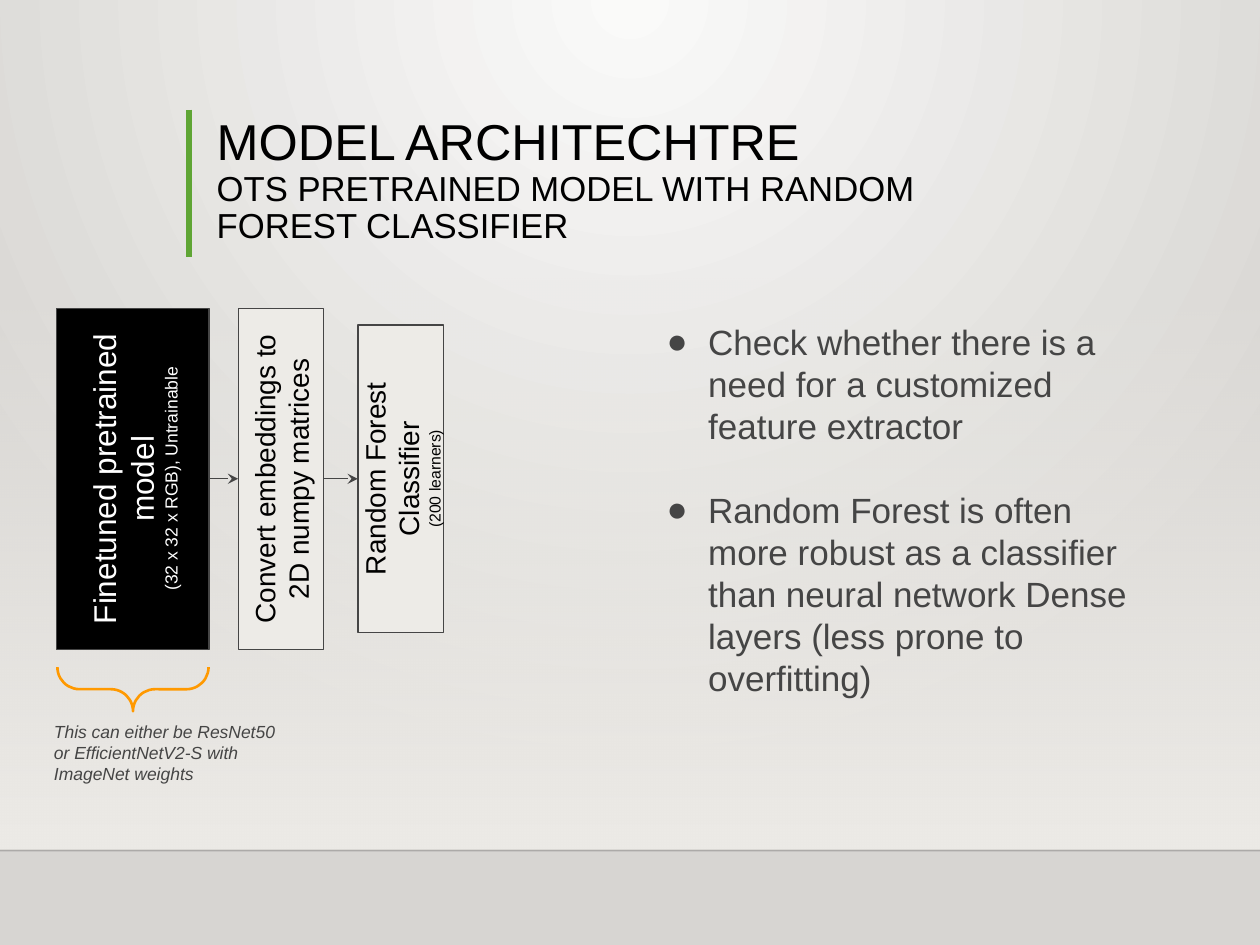
import pptx
import pptx.dml.color
import pptx.enum.dml
import pptx.enum.shapes
import pptx.enum.text
import pptx.oxml
import pptx.oxml.ns
import pptx.util
from dataclasses import dataclass
from pptx.util import Inches


@dataclass(frozen=True)
class Theme:
    font: str = "Arial"
    black: str = "000000"
    white: str = "FFFFFF"
    grey: str = "454545"
    panel: str = "EDEBE7"
    glow: str = "FAFAF9"
    edge: str = "D7D5D2"
    green: str = "5FA534"
    orange: str = "FF9900"
    title: float = 28.8
    subtitle: float = 19.8
    body: float = 20
    caption: float = 10


theme = Theme()
rgb = pptx.dml.color.RGBColor.from_string
SHAPE = pptx.enum.shapes.MSO_SHAPE
ALIGN = pptx.enum.text.PP_ALIGN
ANCHOR = pptx.enum.text.MSO_ANCHOR
NS = pptx.oxml.ns.nsdecls("a")


def add_run(paragraph, text, size, color, italic=None):
    run = paragraph.add_run()
    run.text = text
    format_values = {"name": theme.font, "size": pptx.util.Pt(size), "italic": italic}
    for attribute, value in format_values.items():
        setattr(run.font, attribute, value)
    run.font.color.rgb = rgb(color)


def add_line(x1, y1, x2, y2, color, width):
    line = slide.shapes.add_connector(
        pptx.enum.shapes.MSO_CONNECTOR.STRAIGHT,
        Inches(x1), Inches(y1), Inches(x2), Inches(y2))
    line.line.color.rgb = rgb(color)
    line.line.width = pptx.util.Pt(width)
    line._element.spPr.append(pptx.oxml.parse_xml(f"<a:effectLst {NS}/>"))
    return line


deck = pptx.Presentation()
deck.slide_width, deck.slide_height = Inches(10), Inches(7.5)
slide = deck.slides.add_slide(deck.slide_layouts[1])
for placeholder in list(slide.placeholders):
    if placeholder.placeholder_format.idx > 1:
        placeholder._element.getparent().remove(placeholder._element)

# Background: a round glow from the top centre
backdrop = slide.background.fill
backdrop.gradient()
for stop, color in zip(backdrop.gradient_stops, (theme.glow, theme.edge)):
    stop.color.rgb = rgb(color)
glow = slide._element.cSld.find(".//" + pptx.oxml.ns.qn("a:gradFill"))
glow.replace(glow.find(pptx.oxml.ns.qn("a:lin")), pptx.oxml.parse_xml(
    f'<a:path {NS} path="circle">'
    '<a:fillToRect l="43000" t="0" r="43000" b="100000"/></a:path>'))
for stop, position in zip(backdrop.gradient_stops, (0, 1)):
    stop.position = position

# Panel that fades in downwards, footer rule and title bar
panel = slide.shapes.add_shape(
    SHAPE.RECTANGLE, Inches(0), Inches(2.2), Inches(10), Inches(4.54))
panel.shadow.inherit = False
panel.line.fill.background()
panel.fill.gradient()
panel.fill.gradient_angle = 270
for stop, position in zip(panel.fill.gradient_stops, (0, 1)):
    stop.color.rgb = rgb(theme.panel)
    stop.position = position
clear_color = panel._element.spPr.find(".//" + pptx.oxml.ns.qn("a:srgbClr"))
clear_color.append(pptx.oxml.parse_xml(f'<a:alpha {NS} val="0"/>'))

footer_rule = add_line(0, 6.75, 10, 6.75, theme.black, 1)
rule_color = footer_rule._element.spPr.find(".//" + pptx.oxml.ns.qn("a:srgbClr"))
rule_color.append(pptx.oxml.parse_xml(f'<a:alpha {NS} val="20000"/>'))
title_bar = add_line(1.5, 0.87, 1.5, 2.04, theme.green, 3)
for depth, decoration in enumerate((panel, footer_rule, title_bar), start=2):
    slide.shapes._spTree.insert(depth, decoration._element)

# Title, points and caption
title = slide.shapes.title
points = slide.placeholders[1]
caption = slide.shapes.add_textbox(0, 0, 0, 0)
text_areas = (
    (title, (1.62, 0.82, 6.8, 1.24), ANCHOR.MIDDLE),
    (points, (5.02, 2.44, 4.27, 3), ANCHOR.TOP),
    (caption, (0.33, 5.62, 2.09, 0.55), ANCHOR.TOP),
)
for area, place, anchor in text_areas:
    for attribute, value in zip(("left", "top", "width", "height"), place):
        setattr(area, attribute, Inches(value))
    frame_values = {
        "word_wrap": True, "auto_size": pptx.enum.text.MSO_AUTO_SIZE.NONE,
        "vertical_anchor": anchor, "margin_left": Inches(0.1),
        "margin_right": Inches(0.1), "margin_top": Inches(0.1),
        "margin_bottom": Inches(0.1)}
    for attribute, value in frame_values.items():
        setattr(area.text_frame, attribute, value)

heading = title.text_frame.paragraphs[0]
heading.alignment = ALIGN.LEFT
heading.line_spacing = 0.9
add_run(heading, "MODEL ARCHITECHTRE ", theme.title, theme.black)
heading.add_line_break()
add_run(heading, "OTS PRETRAINED MODEL WITH RANDOM FOREST CLASSIFIER",
        theme.subtitle, theme.black)

add_run(caption.text_frame.paragraphs[0],
        "This can either be ResNet50 or EfficientNetV2-S with ImageNet weights",
        theme.caption, theme.grey, italic=True)

reasons = (
    "Check whether there is a need for a customized feature extractor",
    "Random Forest is often more robust as a classifier than neural network "
    "Dense layers (less prone to overfitting)",
)
for index, reason in enumerate(reasons):
    frame = points.text_frame
    point = frame.add_paragraph() if index else frame.paragraphs[0]
    point.space_before = pptx.util.Pt(24 * index)
    add_run(point, reason, theme.body, theme.grey)
    properties = point._p.get_or_add_pPr()
    properties.set("marL", str(Inches(0.5)))
    properties.set("indent", str(Inches(-0.33)))
    for bullet in (f'<a:buClr {NS}><a:srgbClr val="{theme.grey}"/></a:buClr>',
                   f'<a:buFont {NS} typeface="{theme.font}"/>',
                   f'<a:buChar {NS} char="●"/>'):
        properties.append(pptx.oxml.parse_xml(bullet))

# Model stages, turned to read upwards: left, width, height, fill, ink, lines
axis_y = 3.8
stages = (
    (0.45, 1.21, 2.71, theme.black, theme.white,
     (("Finetuned pretrained model", 18), ("(32 x 32 x RGB), Untrainable", 10))),
    (1.89, 0.68, 2.71, theme.panel, theme.black,
     (("Convert embeddings to 2D numpy matrices", 16),)),
    (2.84, 0.68, 2.44, theme.panel, theme.black,
     (("Random Forest Classifier", 16), ("(200 learners)", 9))),
)
previous = None
for left, width, height, fill, ink, lines in stages:
    stage = slide.shapes.add_shape(
        SHAPE.RECTANGLE, Inches(left + (width - height) / 2),
        Inches(axis_y - width / 2), Inches(height), Inches(width))
    stage.rotation = 270
    stage.shadow.inherit = False
    stage.fill.solid()
    stage.fill.fore_color.rgb = rgb(fill)
    stage.line.color.rgb = rgb(theme.grey)
    stage.line.width = pptx.util.Pt(0.75)
    frame = stage.text_frame
    frame.word_wrap = True
    frame.vertical_anchor = ANCHOR.MIDDLE
    for side in ("left", "right", "top", "bottom"):
        setattr(frame, f"margin_{side}", Inches(0.1))
    for index, (text, size) in enumerate(lines):
        label = frame.add_paragraph() if index else frame.paragraphs[0]
        label.alignment = ALIGN.CENTER
        add_run(label, text, size, ink)
    if previous:
        arrow = add_line(previous_right, axis_y, left, axis_y, theme.grey, 0.75)
        # The turn makes the bottom side face right and the top side face left
        arrow.begin_connect(previous, 2)
        arrow.end_connect(stage, 0)
        arrow.begin_x, arrow.end_x = Inches(previous_right), Inches(left)
        arrow.begin_y = arrow.end_y = Inches(axis_y)
        arrow.line._get_or_add_ln().append(
            pptx.oxml.parse_xml(f'<a:tailEnd {NS} type="stealth"/>'))
    previous, previous_right = stage, left + width

brace = slide.shapes.add_shape(
    SHAPE.RIGHT_BRACE, Inches(0.88), Inches(4.87), Inches(0.35), Inches(1.2))
brace.rotation = 90
brace.shadow.inherit = False
brace.fill.background()
brace.line.color.rgb = rgb(theme.orange)
brace.line.width = pptx.util.Pt(1.5)
brace.adjustments[0] = brace.adjustments[1] = 0.5

deck.save("out.pptx")
